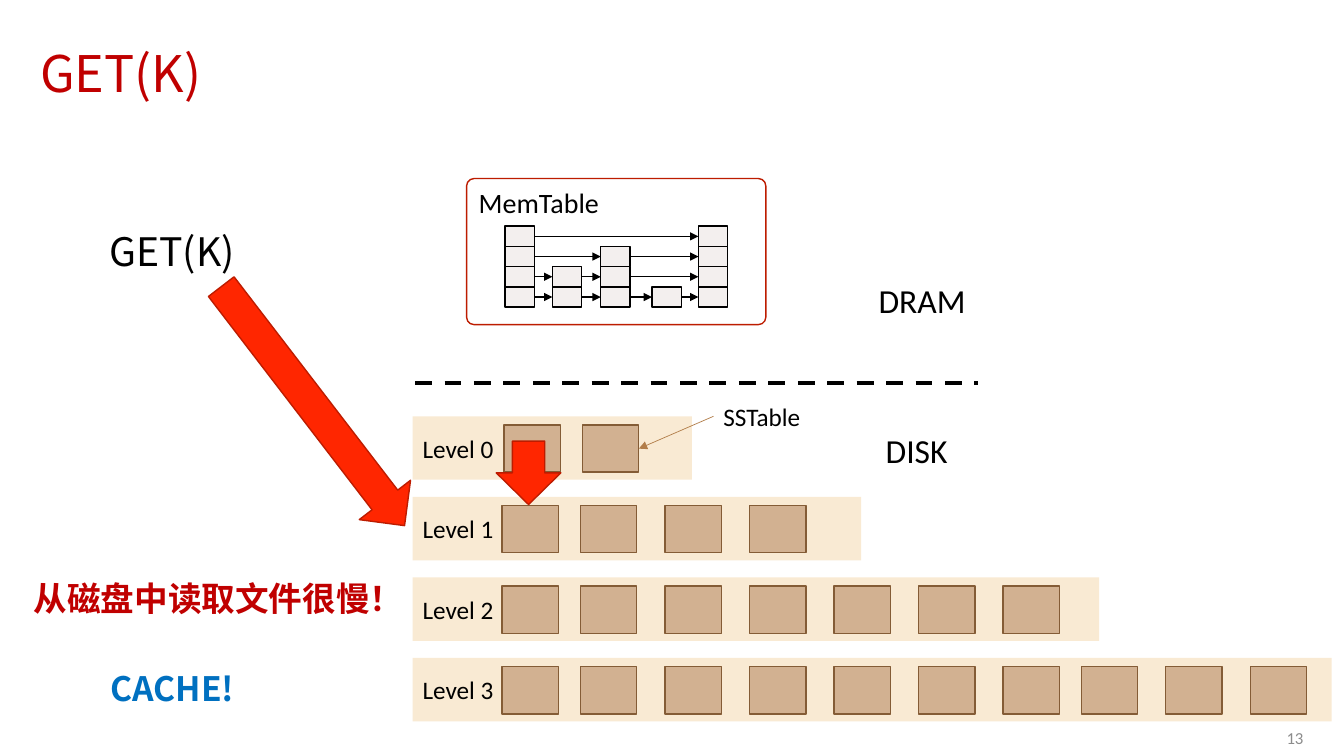
from lxml import etree
from pptx import Presentation
from pptx.dml.color import RGBColor
from pptx.enum.dml import MSO_LINE
from pptx.enum.shapes import MSO_CONNECTOR, MSO_SHAPE
from pptx.enum.text import MSO_ANCHOR, MSO_AUTO_SIZE, PP_ALIGN
from pptx.oxml.ns import qn
from pptx.util import Cm, Pt

RECT, ROUND_RECT = MSO_SHAPE.RECTANGLE, MSO_SHAPE.ROUNDED_RECTANGLE
RIGHT_ARROW = MSO_SHAPE.RIGHT_ARROW
STRAIGHT, DASH = MSO_CONNECTOR.STRAIGHT, MSO_LINE.DASH
TOP, MIDDLE = MSO_ANCHOR.TOP, MSO_ANCHOR.MIDDLE
LEFT, RIGHT = PP_ALIGN.LEFT, PP_ALIGN.RIGHT
FIT_SHAPE = MSO_AUTO_SIZE.SHAPE_TO_FIT_TEXT
LEFT_SIDE, RIGHT_SIDE = 1, 3

BLACK = RGBColor(0x00, 0x00, 0x00)
GRAY = RGBColor(0x8C, 0x8C, 0x8C)
DARK_RED = RGBColor(0xC0, 0x00, 0x00)
BLUE = RGBColor(0x00, 0x70, 0xC0)
ARROW_RED = RGBColor(0xFF, 0x26, 0x00)
EDGE_RED = RGBColor(0xBD, 0x1C, 0x00)
CREAM = RGBColor(0xF9, 0xEA, 0xD3)
TAN = RGBColor(0xD2, 0xB1, 0x91)
BROWN = RGBColor(0x84, 0x5C, 0x36)
POINTER = RGBColor(0xB2, 0x7D, 0x49)
NODE = RGBColor(0xE7, 0xDE, 0xDA)

LATIN, CJK = "Calibri", "Noto Sans CJK SC"

# Skip list: left edge and height in nodes of each column
TOWERS = [(12.73, 4), (13.92, 2), (15.14, 3), (16.43, 1), (17.6, 4)]
TOWER_BOTTOM = 7.74
NODE_W, NODE_H = 0.74, 0.51

# Disk levels: band width, number of tables, shift of the tables
LEVELS = [(7.04, 2, 0.05), (11.3, 4, 0), (17.3, 7, 0), (23.16, 10, 0)]
LEVEL_X, LEVEL_Y, LEVEL_STEP, LEVEL_H = 10.4, 10.49, 2.03, 1.6
TABLE_STEP, TABLE_W, TABLE_H = 2.13, 1.42, 1.19
TABLE_X = ([12.65] + [14.63 + TABLE_STEP * i for i in range(6)]
           + [27.25 + TABLE_STEP * i for i in range(3)])


def write(s, text, size=18, font=LATIN, color=BLACK, bold=False,
          align=LEFT, anchor=TOP, wrap=True, spacing=None):
    tf = s.text_frame
    tf.word_wrap = wrap
    tf.vertical_anchor = anchor
    p = tf.paragraphs[0]
    p.alignment = align
    if spacing:
        p.line_spacing = spacing
    r = p.add_run()
    r.text = text
    r.font.size, r.font.name, r.font.bold = Pt(size), font, bold
    r.font.color.rgb = color
    ea = etree.SubElement(r.font._element, qn("a:ea"))
    ea.set("typeface", font)


def add_text(slide, x, y, w, h, text, fit=True, **fmt):
    s = slide.shapes.add_textbox(Cm(x), Cm(y), Cm(w), Cm(h))
    write(s, text, **fmt)
    if fit:
        s.text_frame.auto_size = FIT_SHAPE
    return s


def add_box(slide, kind, x, y, w, h, fill=None, line=None, opacity=None):
    s = slide.shapes.add_shape(kind, Cm(x), Cm(y), Cm(w), Cm(h))
    s.shadow.inherit = False
    if fill is None:
        s.fill.background()
    else:
        s.fill.solid()
        s.fill.fore_color.rgb = fill
    if opacity:
        clr = s._element.spPr.find(".//" + qn("a:srgbClr"))
        etree.SubElement(clr, qn("a:alpha")).set("val", str(opacity * 1000))
    if line is None:
        s.line.fill.background()
    else:
        s.line.color.rgb = line
        s.line.width = Pt(1)
    return s


def add_line(slide, color, width, ends=(0, 0, 0, 0), dash=None, head=False):
    c = slide.shapes.add_connector(STRAIGHT, *[Cm(v) for v in ends])
    c.line.color.rgb = color
    c.line.width = Pt(width)
    if dash:
        c.line.dash_style = dash
    if head:
        ln = c.line._get_or_add_ln()
        etree.SubElement(ln, qn("a:tailEnd")).set("type", "triangle")
    etree.SubElement(c._element.spPr, qn("a:effectLst"))
    return c


def join(slide, start, start_side, end, end_side, color, width):
    c = add_line(slide, color, width, head=True)
    c.begin_connect(start, start_side)
    c.end_connect(end, end_side)


def add_skip_list(slide):
    towers = [[add_box(slide, RECT, x, TOWER_BOTTOM - NODE_H * (row + 1),
                       NODE_W, NODE_H, NODE, BLACK, opacity=46)
               for row in range(height)]
              for x, height in TOWERS]
    # Each row links the neighbouring towers that reach it
    for row in range(max(len(tower) for tower in towers)):
        nodes = [tower[row] for tower in towers if len(tower) > row]
        for a, b in zip(nodes, nodes[1:]):
            join(slide, a, RIGHT_SIDE, b, LEFT_SIDE, BLACK, 1)


def add_level(slide, number, width, count, shift):
    y = LEVEL_Y + LEVEL_STEP * number
    band = add_box(slide, RECT, LEVEL_X, y, width, LEVEL_H, CREAM)
    write(band, f"Level {number}", anchor=MIDDLE)
    return [add_box(slide, RECT, x + shift, y + 0.22, TABLE_W, TABLE_H,
                    TAN, BROWN) for x in TABLE_X[:count]]


def add_red_arrow(slide, x, y, w, h, angle):
    s = add_box(slide, RIGHT_ARROW, x, y, w, h, ARROW_RED, EDGE_RED)
    s.rotation = angle


def main():
    prs = Presentation()
    prs.slide_width, prs.slide_height = Cm(33.87), Cm(19.05)
    slide = prs.slides.add_slide(prs.slide_layouts[6])

    # Slide number, below the lowest level, and title
    add_text(slide, 23.93, 18.2, 9.17, 0.8, "13", fit=False, size=12,
             color=GRAY, align=RIGHT, anchor=MIDDLE)
    add_text(slide, 0.76, 1.02, 32.33, 1.8, "GET(K)", fit=False, size=36,
             font=CJK, color=DARK_RED, anchor=MIDDLE, spacing=0.9)

    # Memory: MemTable with its skip list
    memtable = add_box(slide, ROUND_RECT, 11.76, 4.5, 7.54, 3.68,
                       line=EDGE_RED)
    memtable.adjustments[0] = 0.05
    write(memtable, "MemTable", size=20)
    add_skip_list(slide)

    # Disk: levels of tables
    levels = [add_level(slide, i, *level) for i, level in enumerate(LEVELS)]

    # Border between memory and disk
    add_line(slide, BLACK, 3, (10.46, 9.65, 24.64, 9.65), dash=DASH)
    add_text(slide, 21.89, 6.93, 2.72, 1.27, "DRAM", size=24, wrap=False)
    add_text(slide, 22.07, 10.72, 2.08, 1.27, "DISK", size=24, wrap=False)

    # Pointer to a table
    label = add_text(slide, 17.98, 9.98, 2.46, 1.02, "SSTable", wrap=False)
    join(slide, label, LEFT_SIDE, levels[0][1], RIGHT_SIDE, POINTER, 0.5)

    # Lookup path and remarks
    add_red_arrow(slide, 4.09, 9.42, 7.59, 1.63, 52.5)
    add_text(slide, 2.51, 5.61, 3.68, 1.45, "GET(K)", size=28, font=CJK,
             wrap=False)
    add_red_arrow(slide, 12.52, 11.1, 1.6, 1.63, 90)
    add_text(slide, 0.6, 14.43, 9.91, 1.27, "从磁盘中读取文件很慢！", size=24,
             font=CJK, color=DARK_RED, bold=True, wrap=False)
    add_text(slide, 2.54, 16.71, 3.78, 1.27, "CACHE!", size=24, font=CJK,
             color=BLUE, bold=True, wrap=False)

    prs.save("out.pptx")


if __name__ == "__main__":
    main()
